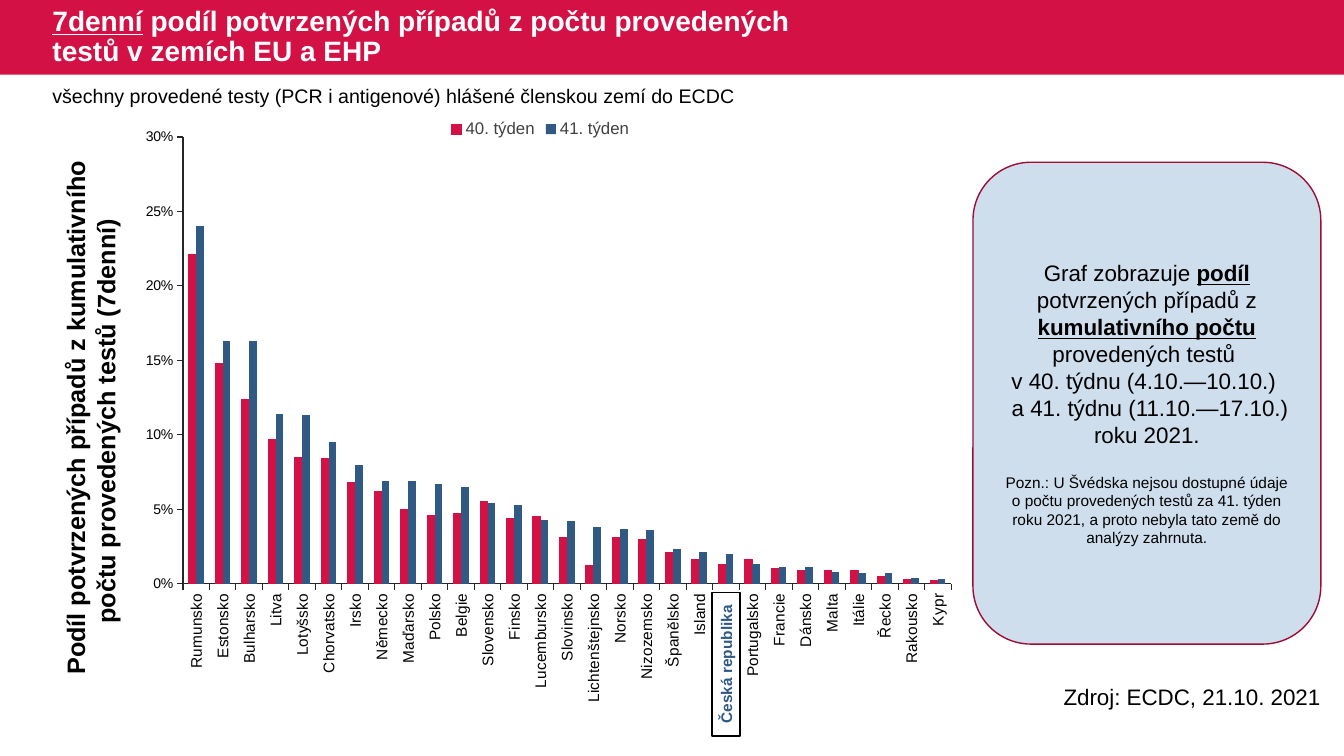
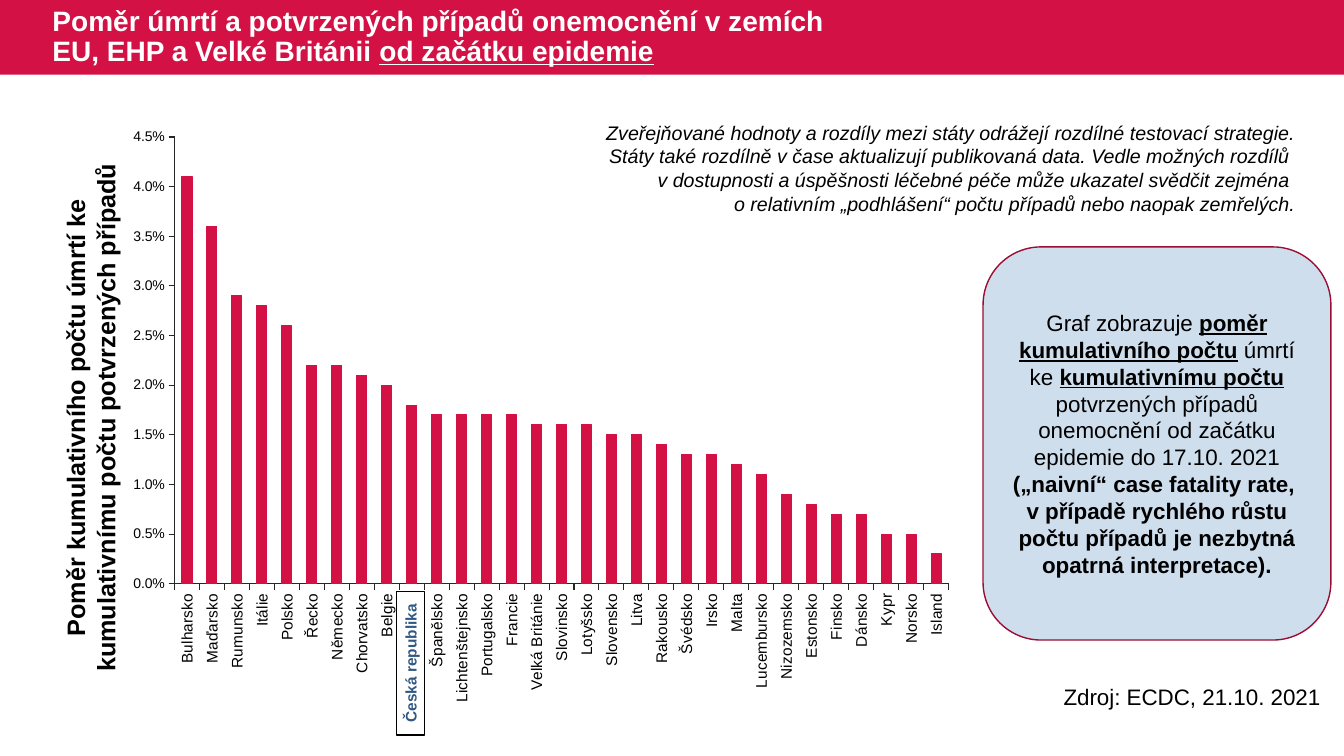
"""Builds two slides comparing epidemic indicators across European countries."""

from lxml import etree
from pptx import Presentation
from pptx.chart.data import CategoryChartData
from pptx.dml.color import RGBColor
from pptx.enum.chart import XL_CHART_TYPE as ChartType
from pptx.enum.chart import XL_LEGEND_POSITION as LegendPosition
from pptx.enum.chart import XL_TICK_MARK as TickMark
from pptx.enum.shapes import MSO_SHAPE as Preset
from pptx.enum.text import MSO_ANCHOR as Anchor
from pptx.enum.text import MSO_AUTO_SIZE as AutoSize
from pptx.enum.text import PP_ALIGN as Align
from pptx.oxml.ns import qn
from pptx.util import Inches, Pt

CRIMSON = RGBColor(0xD3, 0x11, 0x45)
DARK_RED = RGBColor(0x9C, 0x0D, 0x33)
BLUE = RGBColor(0x30, 0x59, 0x83)
PALE_BLUE = RGBColor(0xCF, 0xDE, 0xED)
WHITE = RGBColor(0xFF, 0xFF, 0xFF)
BLACK = RGBColor(0, 0, 0)
AXIS_GREY = RGBColor(0x26, 0x26, 0x26)
TEXT_GREY = RGBColor(0x40, 0x40, 0x40)

FONT = "Arial"
SLIDE_WIDTH, SLIDE_HEIGHT, BAND_HEIGHT = 13.33, 7.5, 0.74
MARGIN = 0.42
HIGHLIGHT = "Česká republika"
SOURCE = "Zdroj: ECDC, 21.10. 2021"

BODY = {"size": Pt(16), "color": BLACK}
NOTE = {"size": Pt(11), "color": BLACK}
REMARK = {"size": Pt(14), "color": BLACK}
TITLE = {"size": Pt(20), "color": WHITE, "bold": True}
AXIS_TITLE = {"size": Pt(18), "color": BLACK, "bold": True}
MARKER = {"size": Pt(11), "color": BLUE, "bold": True}
VALUE_LABEL = {"size": Pt(10), "color": BLACK}
LEGEND = {"size": Pt(12), "color": TEXT_GREY}
CHART_TEXT = {"size": Pt(10), "color": TEXT_GREY}
BOLD = {"bold": True}
UNDERLINE = {"underline": True}
STRONG = BOLD | UNDERLINE
ITALIC = {"italic": True}

TEST_CATEGORIES = [
    "Rumunsko", "Estonsko", "Bulharsko", "Litva", "Lotyšsko", "Chorvatsko", "Irsko",
    "Německo", "Maďarsko", "Polsko", "Belgie", "Slovensko", "Finsko", "Lucembursko",
    "Slovinsko", "Lichtenštejnsko", "Norsko", "Nizozemsko", "Španělsko", "Island",
    HIGHLIGHT, "Portugalsko", "Francie", "Dánsko", "Malta", "Itálie", "Řecko",
    "Rakousko", "Kypr",
]
TEST_SERIES = {
    "40. týden": [
        0.221, 0.148, 0.124, 0.097, 0.085, 0.084, 0.068, 0.062, 0.05, 0.046,
        0.047, 0.055, 0.044, 0.045, 0.031, 0.012, 0.031, 0.03, 0.021, 0.016,
        0.013, 0.016, 0.01, 0.009, 0.009, 0.009, 0.005, 0.003, 0.002,
    ],
    "41. týden": [
        0.24, 0.163, 0.163, 0.114, 0.113, 0.095, 0.08, 0.069, 0.069, 0.067,
        0.065, 0.054, 0.053, 0.043, 0.042, 0.038, 0.037, 0.036, 0.023, 0.021,
        0.02, 0.013, 0.011, 0.011, 0.008, 0.007, 0.007, 0.004, 0.003,
    ],
}
DEATH_CATEGORIES = [
    "Bulharsko", "Maďarsko", "Rumunsko", "Itálie", "Polsko", "Řecko", "Německo",
    "Chorvatsko", "Belgie", HIGHLIGHT, "Španělsko", "Lichtenštejnsko", "Portugalsko",
    "Francie", "Velká Británie", "Slovinsko", "Lotyšsko", "Slovensko", "Litva",
    "Rakousko", "Švédsko", "Irsko", "Malta", "Lucembursko", "Nizozemsko", "Estonsko",
    "Finsko", "Dánsko", "Kypr", "Norsko", "Island",
]
DEATH_SERIES = {
    "Series 1": [
        0.041, 0.036, 0.029, 0.028, 0.026, 0.022, 0.022, 0.021, 0.02, 0.018,
        0.017, 0.017, 0.017, 0.017, 0.016, 0.016, 0.016, 0.015, 0.015, 0.014,
        0.013, 0.013, 0.012, 0.011, 0.009, 0.008, 0.007, 0.007, 0.005, 0.005,
        0.003,
    ],
}


def inches(*lengths):
    """Turn plain numbers into lengths."""
    return [Inches(length) for length in lengths]


def format_font(font, style):
    """Apply a dict of format values to a font."""
    font.name = FONT
    for name, value in style.items():
        if name == "color":
            font.color.rgb = value
        else:
            setattr(font, name, value)


def write(frame, paragraphs, style, **paragraph_format):
    """Fill a text frame with paragraphs, each a list of (text, extra style) runs."""
    frame.word_wrap = True
    for index, runs in enumerate(paragraphs):
        paragraph = frame.add_paragraph() if index else frame.paragraphs[0]
        for name, value in paragraph_format.items():
            setattr(paragraph, name, value)
        for text, extra in runs:
            for line_index, line in enumerate(text.split("\n")):
                if line_index:
                    paragraph.add_line_break()
                if line:
                    run = paragraph.add_run()
                    run.text = line
                    format_font(run.font, style | extra)


def add_text(slide, box, paragraphs, style, rotation=0, **paragraph_format):
    """Add a text box that grows with its text."""
    shape = slide.shapes.add_textbox(*inches(*box))
    shape.rotation = rotation
    write(shape.text_frame, paragraphs, style, **paragraph_format)
    shape.text_frame.auto_size = AutoSize.SHAPE_TO_FIT_TEXT


def add_box(slide, preset, box, fill, line=None):
    """Add a flat filled shape, outlined if a line colour is given."""
    shape = slide.shapes.add_shape(preset, *inches(*box))
    shape.shadow.inherit = False
    shape.fill.solid()
    shape.fill.fore_color.rgb = fill
    if line is None:
        shape.line.fill.background()
    else:
        shape.line.color.rgb = line
        shape.line.width = Pt(1)
    shape.text_frame.vertical_anchor = Anchor.MIDDLE
    return shape


def add_callout(slide, box, paragraphs):
    """Add the rounded explanation panel."""
    panel = add_box(slide, Preset.ROUNDED_RECTANGLE, box, PALE_BLUE, DARK_RED)
    write(panel.text_frame, paragraphs, BODY, alignment=Align.CENTER)
    return panel


def add_marker(slide, left, top):
    """Frame the highlighted country's label on the category axis."""
    marker = add_box(slide, Preset.RECTANGLE, (left, top, 1.42, 0.28), WHITE, BLACK)
    marker.rotation = 270
    write(marker.text_frame, [[(HIGHLIGHT, {})]], MARKER, alignment=Align.CENTER)


def set_plot_area(chart, plot_area):
    """Fix the inner plot area as fractions of the chart."""
    area = chart.element.find(".//" + qn("c:plotArea"))
    for old_layout in area.findall(qn("c:layout")):
        area.remove(old_layout)
    layout = etree.Element(qn("c:layout"))
    manual = etree.SubElement(layout, qn("c:manualLayout"))
    values = {"layoutTarget": "inner", "xMode": "edge", "yMode": "edge"}
    values |= dict(zip("xywh", map(str, plot_area)))
    for name, value in values.items():
        etree.SubElement(manual, qn("c:" + name)).set("val", value)
    area.insert(0, layout)


def add_column_chart(slide, categories, series, maximum, step, number_format, plot_area):
    """Add a clustered column chart with one colour per series."""
    data = CategoryChartData()
    data.categories = categories
    for name, values in series.items():
        data.add_series(name, values)
    chart = slide.shapes.add_chart(
        ChartType.COLUMN_CLUSTERED, *inches(1.16, 1.08, 8.4, 5.95), data
    ).chart
    format_font(chart.font, CHART_TEXT)
    chart.has_title = False
    chart.has_legend = len(series) > 1
    if chart.has_legend:
        chart.legend.position = LegendPosition.TOP
        chart.legend.include_in_layout = False
        format_font(chart.legend.font, LEGEND)

    plot = chart.plots[0]
    plot.gap_width = 150
    plot.overlap = 0
    plot.vary_by_categories = False
    for column, color in zip(plot.series, (CRIMSON, BLUE)):
        column.format.fill.solid()
        column.format.fill.fore_color.rgb = color
    plot.series[0].format.line.color.rgb = CRIMSON
    plot.series[0].format.line.width = Pt(0.75)

    for axis, style in ((chart.category_axis, NOTE), (chart.value_axis, VALUE_LABEL)):
        axis.has_major_gridlines = False
        axis.major_tick_mark = TickMark.OUTSIDE
        axis.minor_tick_mark = TickMark.NONE
        axis.format.line.color.rgb = AXIS_GREY
        axis.format.line.width = Pt(0.75)
        format_font(axis.tick_labels.font, style)
    chart.value_axis.minimum_scale = 0
    chart.value_axis.maximum_scale = maximum
    chart.value_axis.major_unit = step
    chart.value_axis.tick_labels.number_format = number_format
    chart.value_axis.tick_labels.number_format_is_linked = False
    for body in chart.element.xpath(".//c:catAx/c:txPr/a:bodyPr"):
        body.set("rot", "-5400000")
        body.set("vert", "horz")
    set_plot_area(chart, plot_area)


def add_band(layout, slide):
    """Put the title band on the layout, behind everything else."""
    band = add_box(slide, Preset.RECTANGLE, (0, 0, SLIDE_WIDTH, BAND_HEIGHT), CRIMSON)
    layout.shapes.element.insert(2, band.element)


def add_country_slide(presentation, title_runs, axis_title):
    """Add a slide with its title, source and rotated axis title."""
    slide = presentation.slides.add_slide(presentation.slide_layouts[5])
    title = slide.shapes.title
    title.left, title.top, title.width, title.height = inches(MARGIN, 0, 8.16, BAND_HEIGHT)
    title.text_frame.vertical_anchor = Anchor.MIDDLE
    title.text_frame.auto_size = AutoSize.NONE
    write(title.text_frame, [title_runs], TITLE, alignment=Align.LEFT, line_spacing=0.9)
    add_text(slide, (10.45, 6.73, 3.13, 0.37), [[(SOURCE, {})]], BODY)
    add_text(slide, (-1.81, 3.79, 5.42, 0.71), [[(axis_title, {})]], AXIS_TITLE,
             rotation=270, alignment=Align.CENTER)
    return slide


def build_test_slide(presentation):
    """Build the slide on the share of positive tests."""
    slide = add_country_slide(
        presentation,
        [("7denní", UNDERLINE),
         (" podíl potvrzených případů z počtu provedených testů v zemích EU a EHP", {})],
        "Podíl potvrzených případů z kumulativního počtu provedených testů (7denní) ",
    )
    add_column_chart(slide, TEST_CATEGORIES, TEST_SERIES, 0.3, 0.05, "0%",
                     (0.078, 0.047, 0.907, 0.745))
    panel = add_callout(slide, (9.65, 1.61, 3.45, 4.78), [
        [("Graf zobrazuje ", {}), ("podíl", STRONG), (" potvrzených případů z ", {}),
         ("kumulativního počtu", STRONG), (" provedených testů ", {})],
        [("v 40. týdnu (4.10.—10.10.) ", {})],
        [(" a 41. týdnu (11.10.—17.10.) roku 2021.", {})],
        [("Pozn.: U Švédska nejsou dostupné údaje o počtu provedených testů za 41. týden "
          "roku 2021, a proto nebyla tato země do analýzy zahrnuta.", NOTE)],
    ])
    panel.text_frame.paragraphs[-1].space_before = Pt(18)
    add_marker(slide, 6.49, 6.45)
    add_text(slide, (MARGIN, 0.78, 12.59, 0.34), [
        [("všechny provedené testy (PCR i antigenové) hlášené členskou zemí do ECDC", {})],
    ], REMARK)
    return slide


def build_death_slide(presentation):
    """Build the slide on the ratio of deaths to confirmed cases."""
    slide = add_country_slide(
        presentation,
        [("Poměr úmrtí a potvrzených případů onemocnění v zemích EU, EHP a Velké Británii ", {}),
         ("od začátku epidemie", UNDERLINE)],
        "Poměr kumulativního počtu úmrtí ke kumulativnímu počtu potvrzených případů",
    )
    add_column_chart(slide, DEATH_CATEGORIES, DEATH_SERIES, 0.045, 0.005, "0.0%",
                     (0.068, 0.047, 0.914, 0.745))
    add_callout(slide, (9.75, 2.45, 3.45, 3.9), [
        [("Graf zobrazuje ", {}), ("poměr kumulativního počtu", STRONG), (" úmrtí ke ", {}),
         ("kumulativnímu počtu", STRONG),
         (" potvrzených případů onemocnění od začátku epidemie do 17.10. 2021\n", {}),
         ("(„naivní“ case fatality rate, \nv případě rychlého růstu počtu případů "
          "je nezbytná opatrná interpretace).", BOLD)],
    ])
    add_marker(slide, 3.36, 6.44)
    add_text(slide, (5.82, 1.15, 7.13, 1.04), [
        [("Zveřejňované hodnoty a rozdíly mezi státy odrážejí rozdílné testovací strategie. "
          "Státy také rozdílně v čase aktualizují publikovaná data. Vedle možných rozdílů \n"
          "v dostupnosti a úspěšnosti léčebné péče může ukazatel svědčit zejména ", {})],
        [("o relativním „podhlášení“ počtu případů nebo naopak zemřelých.", {})],
    ], REMARK | ITALIC, alignment=Align.RIGHT)


def main():
    """Build and save the presentation."""
    presentation = Presentation()
    presentation.slide_width, presentation.slide_height = inches(SLIDE_WIDTH, SLIDE_HEIGHT)
    first_slide = build_test_slide(presentation)
    add_band(first_slide.slide_layout, first_slide)
    build_death_slide(presentation)
    presentation.save("out.pptx")


if __name__ == "__main__":
    main()
